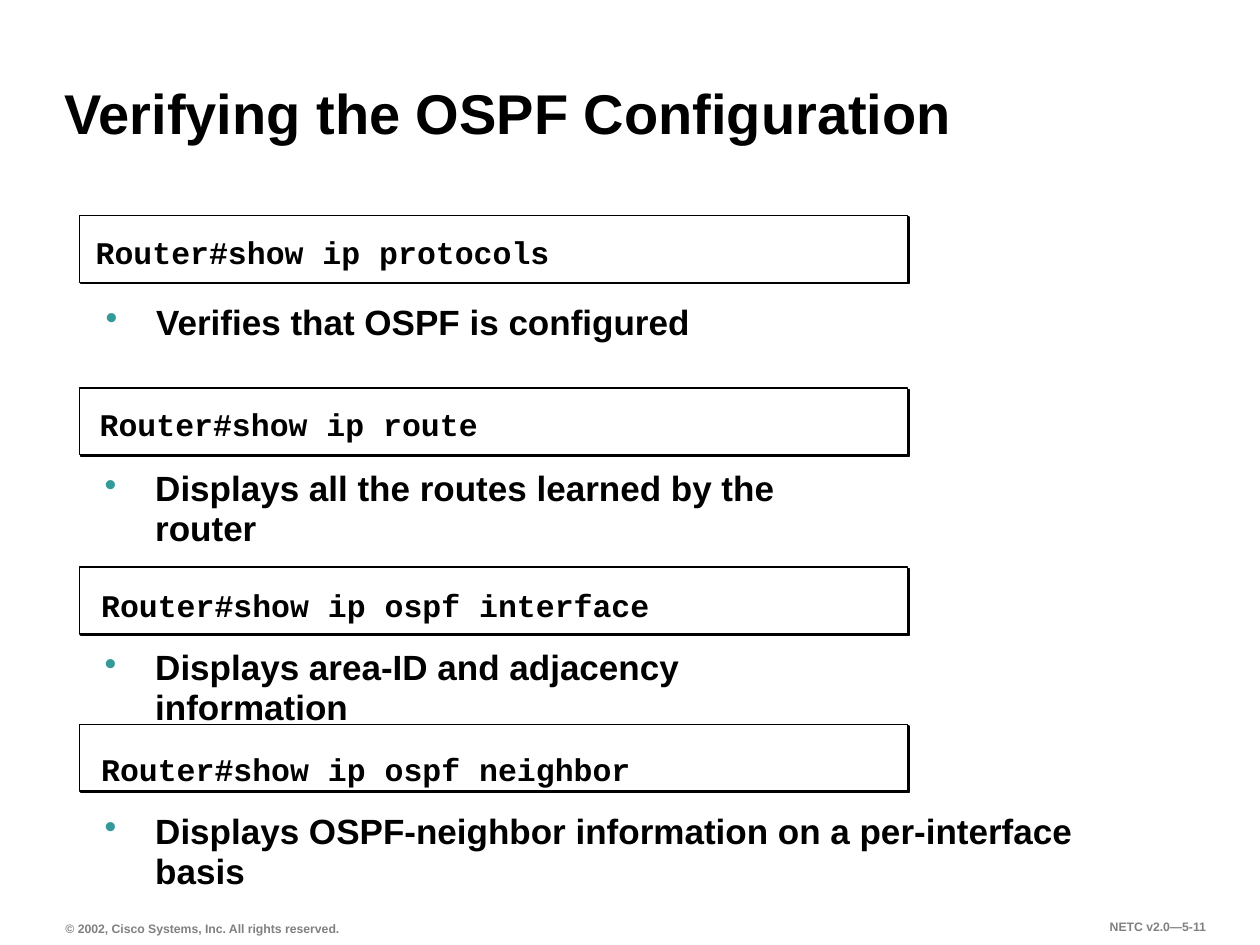
from dataclasses import dataclass

import pptx
import pptx.dml.color
import pptx.enum.shapes
import pptx.enum.text
import pptx.oxml
import pptx.oxml.ns
import pptx.util

Cm, Pt = pptx.util.Cm, pptx.util.Pt
ANCHOR = pptx.enum.text.MSO_ANCHOR
ALIGN = pptx.enum.text.PP_ALIGN

BLACK, WHITE, GREY, TEAL = "000000", "FFFFFF", "808080", "339999"
FRAME_LEFT, FRAME_WIDTH, FRAME_HEIGHT = 1.6, 16.69, 1.35
HANG = 1.02


@dataclass
class Area:
    """Place and size in centimetres."""
    left: float
    top: float
    width: float
    height: float

    def lengths(self) -> tuple:
        return tuple(Cm(v) for v in (self.left, self.top, self.width, self.height))


@dataclass
class Command:
    frame_top: float
    code: str
    code_area: Area
    note: str
    note_area: Area


COMMANDS = [
    Command(4.34, "Router#show ip protocols", Area(1.85, 4.57, 7.85, 1.42),
            "Verifies that OSPF is configured", Area(1.85, 5.97, 16.64, 1.09)),
    Command(7.82, "Router#show ip route", Area(1.93, 8.03, 7.82, 1.5),
            "Displays all the routes learned by the router",
            Area(1.83, 9.32, 15.95, 1.09)),
    Command(11.43, "Router#show ip ospf interface", Area(1.96, 11.68, 8.61, 1.47),
            "Displays area-ID and adjacency information",
            Area(1.83, 12.93, 15.88, 1.09)),
    Command(14.6, "Router#show ip ospf neighbor", Area(1.96, 14.99, 8.61, 1.47),
            "Displays OSPF-neighbor information on a per-interface basis",
            Area(1.83, 16.23, 21.72, 1.09)),
]


def rgb(color: str):
    return pptx.dml.color.RGBColor.from_string(color)


def add_xml(parent, xml: str) -> None:
    ns = pptx.oxml.ns.nsdecls("a")
    parent.append(pptx.oxml.parse_xml(xml.replace("/>", f" {ns}/>", 1)
                                      if xml.endswith("/>") and xml.count("<") == 1
                                      else xml.replace(">", f" {ns}>", 1)))


def set_frame(sp, inset_x: float, inset_y: float, wrap: bool, anchor=ANCHOR.TOP):
    tf = sp.text_frame
    tf.margin_left = tf.margin_right = Cm(inset_x)
    tf.margin_top = tf.margin_bottom = Cm(inset_y)
    tf.word_wrap = wrap
    tf.auto_size = pptx.enum.text.MSO_AUTO_SIZE.NONE
    tf.vertical_anchor = anchor
    return tf.paragraphs[0]


def add_run(p, text: str, size: float, color: str = BLACK, font: str = "Arial") -> None:
    r = p.add_run()
    r.text = text
    r.font.name = font
    r.font.size = Pt(size)
    r.font.bold = True
    r.font.color.rgb = rgb(color)


def add_frame(s, top: float) -> None:
    """Draw the shadowed rectangle behind a command."""
    area = Area(FRAME_LEFT, top, FRAME_WIDTH, FRAME_HEIGHT)
    sp = s.shapes.add_shape(pptx.enum.shapes.MSO_SHAPE.RECTANGLE, *area.lengths())
    sp.fill.solid()
    sp.fill.fore_color.rgb = rgb(WHITE)
    sp.line.color.rgb = rgb(BLACK)
    sp.line.width = Pt(0.75)
    sp.shadow.inherit = False
    effects = sp._element.spPr.find(pptx.oxml.ns.qn("a:effectLst"))
    add_xml(effects, f'<a:outerShdw dist="{Pt(1.4)}" dir="2700000" rotWithShape="0">'
                     f'<a:srgbClr val="{BLACK}"/></a:outerShdw>')


def add_code(s, text: str, area: Area) -> None:
    p = set_frame(s.shapes.add_textbox(*area.lengths()), 0.08, 0.1, False)
    p.line_spacing = Pt(22.5)
    p.space_after = Pt(9)
    add_run(p, text, 18, font="Courier New")


def add_note(s, text: str, area: Area) -> None:
    p = set_frame(s.shapes.add_textbox(*area.lengths()), 0.28, 0.15, True)
    p.line_spacing = 0.95
    pPr = p._p.get_or_add_pPr()
    pPr.set("marL", str(Cm(HANG)))
    pPr.set("indent", str(-Cm(HANG)))
    add_xml(pPr, f'<a:buClr><a:srgbClr val="{TEAL}"/></a:buClr>')
    add_xml(pPr, '<a:buChar char="•"/>')
    add_run(p, text, 20)


def add_footer(s, text: str, area: Area, align, anchor) -> None:
    p = set_frame(s.shapes.add_textbox(*area.lengths()), 0.23, 0.1, False, anchor)
    p.alignment = align
    add_run(p, text, 7, GREY)


def set_title(s, text: str, area: Area) -> None:
    sp = s.shapes.title
    sp.left, sp.top, sp.width, sp.height = area.lengths()
    p = set_frame(sp, 0.23, 0.1, True, ANCHOR.BOTTOM)
    p.alignment = ALIGN.LEFT
    p.line_spacing = 0.9
    add_run(p, text, 32)


def main() -> None:
    prs = pptx.Presentation()
    prs.slide_width, prs.slide_height = Cm(25.4), Cm(19.05)
    s = prs.slides.add_slide(prs.slide_layouts[5])

    set_title(s, "Verifying the OSPF Configuration", Area(1.07, 0.71, 21.18, 2.34))
    add_footer(s, "© 2002, Cisco Systems, Inc. All rights reserved.",
               Area(1.09, 18.44, 5.99, 0.53), ALIGN.LEFT, ANCHOR.BOTTOM)
    add_footer(s, "NETC v2.0—5-11",
               Area(21.29, 18.44, 3.25, 0.53), ALIGN.RIGHT, ANCHOR.TOP)

    for command in COMMANDS:
        add_frame(s, command.frame_top)
    for command in COMMANDS:
        add_code(s, command.code, command.code_area)
        add_note(s, command.note, command.note_area)

    prs.save("out.pptx")


if __name__ == "__main__":
    main()
